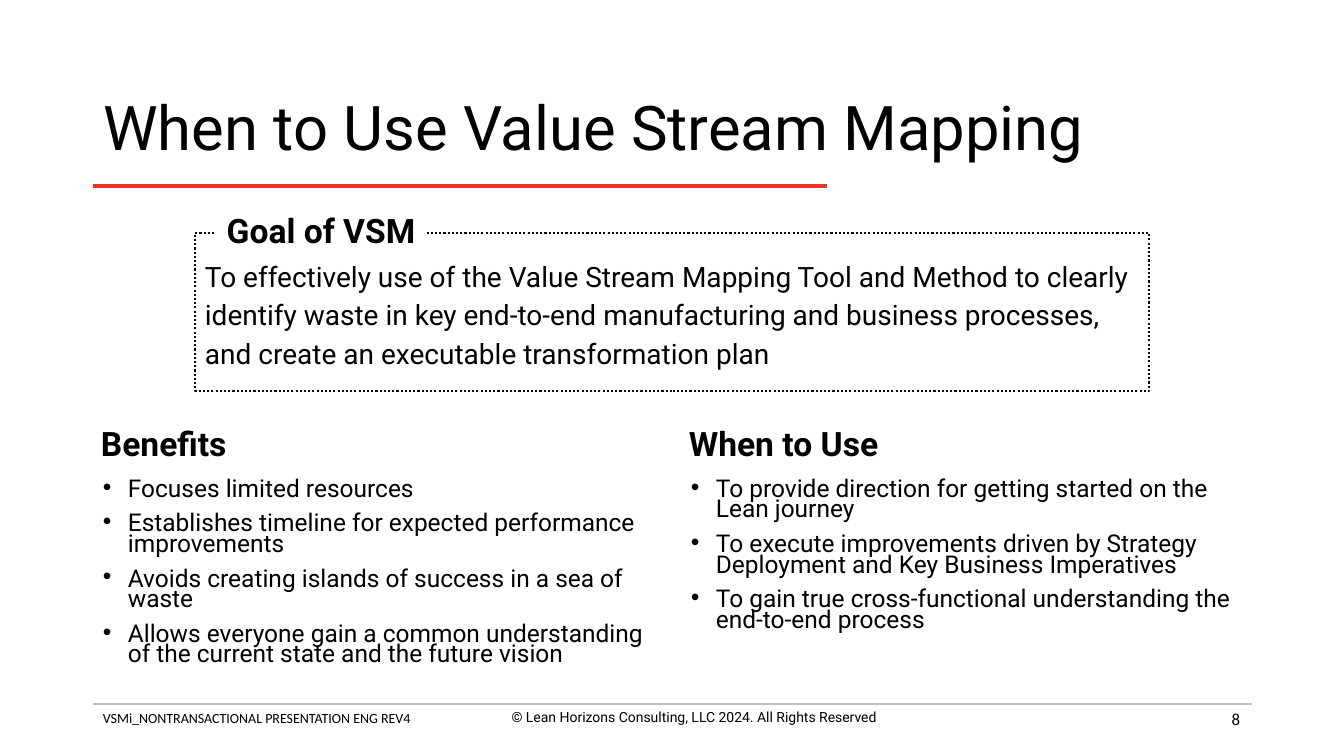
from lxml import etree
from pptx import Presentation
from pptx.dml.color import RGBColor
from pptx.enum.dml import MSO_LINE
from pptx.enum.shapes import MSO_CONNECTOR, MSO_SHAPE
from pptx.enum.text import MSO_ANCHOR, PP_ALIGN
from pptx.oxml.ns import qn
from pptx.util import Pt

# Content
TITLE = "When to Use Value Stream Mapping"
GOAL_LABEL = "Goal of VSM"
GOAL = """To effectively use of the Value Stream Mapping Tool and Method to clearly
identify waste in key end-to-end manufacturing and business processes,
and create an executable transformation plan"""
COLUMNS = [
    ("Benefits", [
        "Focuses limited resources",
        "Establishes timeline for expected performance improvements",
        "Avoids creating islands of success in a sea of waste",
        "Allows everyone gain a common understanding of the current state and the future vision",
    ]),
    ("When to Use", [
        "To provide direction for getting started on the Lean journey",
        "To execute improvements driven by Strategy Deployment and Key Business Imperatives",
        "To gain true cross-functional understanding the end-to-end process",
    ]),
]
DOCUMENT = "VSMi_NONTRANSACTIONAL PRESENTATION ENG REV4"
COPYRIGHT = "© Lean Horizons Consulting, LLC 2024. All Rights Reserved"
PAGE = "8"

# Look
BLACK = RGBColor(0x00, 0x00, 0x00)
WHITE = RGBColor(0xFF, 0xFF, 0xFF)
RED = RGBColor(0xEE, 0x32, 0x28)
GREY = RGBColor(0xBF, 0xBF, 0xBF)
LEFT, CENTER, RIGHT = PP_ALIGN.LEFT, PP_ALIGN.CENTER, PP_ALIGN.RIGHT
TOP, MIDDLE, BOTTOM = MSO_ANCHOR.TOP, MSO_ANCHOR.MIDDLE, MSO_ANCHOR.BOTTOM
DOTTED = MSO_LINE.ROUND_DOT
STRAIGHT = MSO_CONNECTOR.STRAIGHT
RECTANGLE = MSO_SHAPE.RECTANGLE

# Layout in px
SLIDE_W, SLIDE_H = 1344, 756
MARGIN, CONTENT_W = 93, 1159
COLUMN_PITCH, COLUMN_W = 588, 569
INDENT = 25


def px(n):
    return round(n * 914400 / 100.8)


def box(*lengths):
    return [px(n) for n in lengths]


def add_bullet(p):
    pPr = p._p.get_or_add_pPr()
    pPr.set("marL", str(px(INDENT)))
    pPr.set("indent", str(-px(INDENT)))
    etree.SubElement(pPr, qn("a:buFont")).set("typeface", "Arial")
    etree.SubElement(pPr, qn("a:buChar")).set("char", "•")


def write(sp, *texts, size=10, font="Roboto", bold=False, align=LEFT,
          anchor=TOP, spacing=1.0, gap=0, bullets=False):
    tf = sp.text_frame
    tf.word_wrap = True
    tf.vertical_anchor = anchor
    for i, text in enumerate(texts):
        p = tf.add_paragraph() if i else tf.paragraphs[0]
        if bullets:
            add_bullet(p)
        p.alignment = align
        p.line_spacing = spacing
        p.space_before = Pt(gap if i else 0)
        for n, line in enumerate(text.split("\n")):
            if n:
                p.add_line_break()
            r = p.add_run()
            r.text = line
            r.font.name = font
            r.font.size = Pt(size)
            r.font.bold = bold
            r.font.color.rgb = BLACK


def add_text(s, place, *texts, **fmt):
    write(s.shapes.add_textbox(*box(*place)), *texts, **fmt)


def add_rule(s, y, width, color, weight):
    c = s.shapes.add_connector(STRAIGHT, *box(MARGIN, y, MARGIN + width, y))
    c.line.color.rgb = color
    c.line.width = Pt(weight)
    etree.SubElement(c._element.spPr, qn("a:effectLst"))


def add_rect(s, place):
    sp = s.shapes.add_shape(RECTANGLE, *box(*place))
    sp.shadow.inherit = False
    return sp


prs = Presentation()
prs.slide_width, prs.slide_height = box(SLIDE_W, SLIDE_H)
s = prs.slides.add_slide(prs.slide_layouts[5])

# Title and its rule
title = s.shapes.title
title.left, title.top, title.width, title.height = box(MARGIN, 74, CONTENT_W, 113)
write(title, TITLE, size=44, anchor=MIDDLE, spacing=0.9)
add_rule(s, 186, 734, RED, 3)

# Goal frame with its label set into the border
frame = add_rect(s, (195, 233, 954, 158))
frame.fill.background()
frame.line.color.rgb = BLACK
frame.line.width = Pt(1.5)
frame.line.dash_style = DOTTED
write(frame, GOAL, size=20, anchor=MIDDLE, spacing=1.15)

label = add_rect(s, (215, 213, 212, 43))
label.fill.solid()
label.fill.fore_color.rgb = WHITE
label.line.fill.background()
write(label, GOAL_LABEL, size=24, bold=True, align=CENTER, spacing=0.8)

# Two columns
for i, (heading, points) in enumerate(COLUMNS):
    x = MARGIN + i * COLUMN_PITCH
    add_text(s, (x - 2, 378, COLUMN_W, 91), heading, size=24, bold=True,
             anchor=BOTTOM, spacing=0.9)
    add_text(s, (x, 476, COLUMN_W, 240), *points, size=17.5, spacing=0.7,
             gap=10, bullets=True)

# Footer
add_rule(s, 704, CONTENT_W, GREY, 2)
add_text(s, (MARGIN, 705, 460, 27), DOCUMENT, font="Calibri")
add_text(s, (464, 704, 460, 44), COPYRIGHT, align=CENTER)
add_text(s, (948, 699, 302, 40), PAGE, size=12, font="Calibri", align=RIGHT,
         anchor=MIDDLE)

prs.save("out.pptx")
